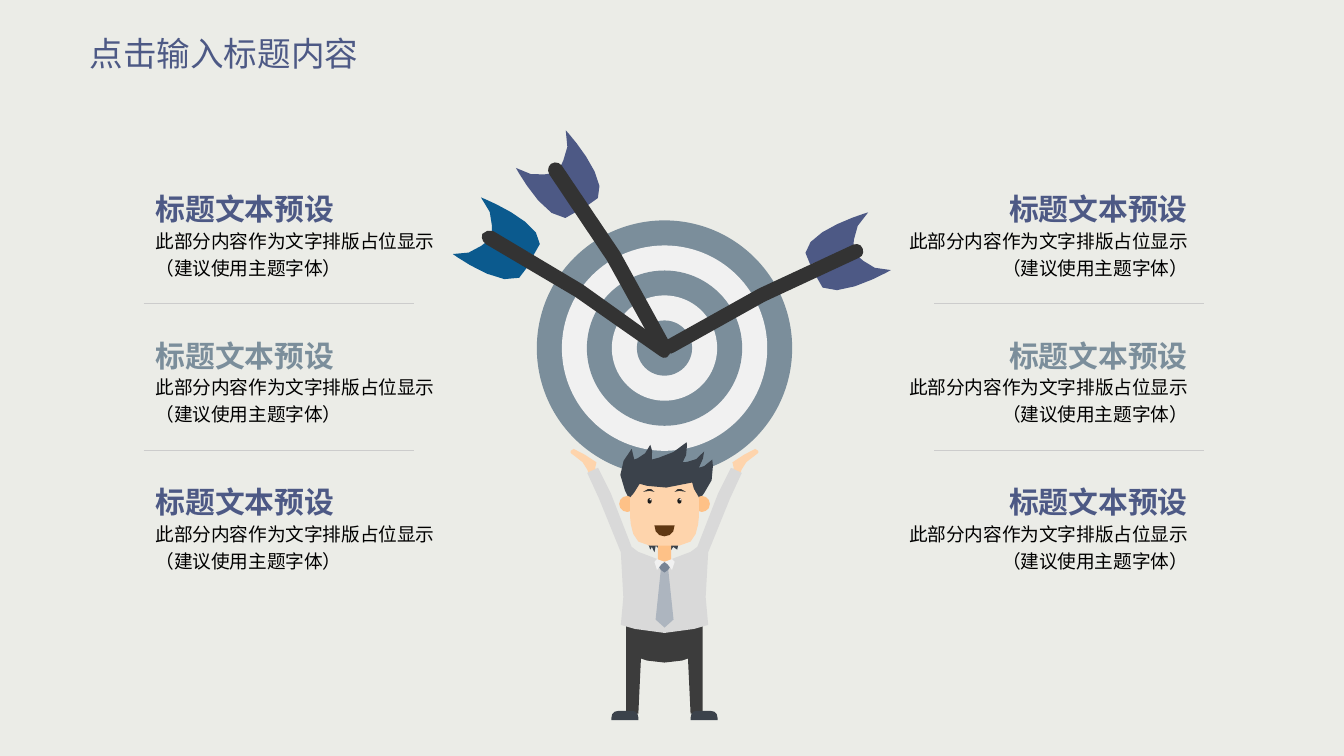
from dataclasses import dataclass
from math import ceil, dist, sqrt

from lxml import etree
from pptx import Presentation
from pptx.dml.color import RGBColor
from pptx.enum.shapes import MSO_CONNECTOR, MSO_SHAPE
from pptx.enum.text import MSO_ANCHOR, MSO_AUTO_SIZE, PP_ALIGN
from pptx.oxml.ns import qn
from pptx.util import Pt

OVAL, RECT, STRAIGHT = MSO_SHAPE.OVAL, MSO_SHAPE.RECTANGLE, MSO_CONNECTOR.STRAIGHT
LEFT, RIGHT = PP_ALIGN.LEFT, PP_ALIGN.RIGHT
MIDDLE, TOP, NO_FIT = MSO_ANCHOR.MIDDLE, MSO_ANCHOR.TOP, MSO_AUTO_SIZE.NONE


@dataclass(frozen=True)
class Theme:
    font: str = "Noto Sans CJK SC"
    background: str = "EBECE7"
    indigo: str = "4D5985"
    slate: str = "7B8E9B"
    blue: str = "0B5A8E"
    black: str = "000000"
    divider: str = "CCCCCC"
    white: str = "F1F1F1"
    shaft: str = "333333"
    skin: str = "FED4AC"
    skin_shade: str = "FEC187"
    hair: str = "3B424B"
    trousers: str = "3C3C3C"
    shirt: str = "D9D9D9"
    tie: str = "ADB5BF"
    knot: str = "778495"
    mouth: str = "603813"
    eye: str = "1A1A1A"
    title_size: int = 18
    heading_size: int = 16
    body_size: int = 10


THEME = Theme()
AXIS = 356  # vertical centre line of the target and the man
HEADING = "标题文本预设"
BODY = "此部分内容作为文字排版占位显示\n（建议使用主题字体）"

# Outlines in points, x measured from AXIS: a start point, then segments.
# 2 numbers: line; 6: Bezier curve; 4: curve whose first control is its start.
HAND = [(40.7, 253.4), (42.1, 247, 49.3, 243.4), (52.2, 241.9, 48.6, 240.5),
        (37.1, 246.2, 36.4, 247.7), (37.1, 250.6), (36.4, 252.7)]
HAIR = [(-7.6, 294.5), (-7.6, 292.3, -16.2, 270.7, -21.2, 262.8),
        (-26.3, 254.2, -22.7, 246.2, -17.6, 240.5), (-16.2, 246.2),
        (-9, 244.1, -7.6, 238.3), (-5.4, 244.1, -6.8, 246.2), (6.8, 243.4, 11.9, 236.9),
        (12.6, 245.5, 9.7, 247.7), (18.4, 247.7, 21.2, 241.9), (20.5, 249.1, 18.4, 250.6),
        (23.4, 249.8, 25.6, 246.2), (27.7, 259.2, 21.2, 264.2),
        (14.8, 270, 6.1, 288.7, 6.8, 294.5), (4.7, 293), (3.2, 295.2), (0.4, 293),
        (-1.8, 295.2), (-4.7, 292.3), (-5.4, 295.9), (-6.8, 293)]
FRINGE = [(-18.4, 266.4), (-14.8, 262.8, -13.3, 259.2), (0, 264.2, 14.8, 258.5),
          (16.2, 265, 18.4, 266.4), (20.5, 253.4, 18.4, 252),
          (16.2, 251.3, -14.8, 249.1, -18.4, 252), (-22.7, 254.9, -18.4, 266.4, -18.4, 266.4)]
COLLAR = [(0, 301), (3.2, 303.1, 4, 305.3), (5.4, 301), (4, 299.5)]
SHOE = [(14, 385.9), (14, 384.5), (14, 382.3, 15.5, 380.9, 16.9, 380.9), (24.8, 380.9),
        (27, 380.9, 28.4, 382.3, 28.4, 384.5), (28.4, 385.9)]
BROW = [(11.5, 263.5), (9, 262.1), (7, 262.1), (5.4, 263.5), (8, 263)]
# Right halves of symmetric outlines, from axis to axis
TROUSERS = [(0, 336.2), (20.5, 331.9), (20.5, 382.3), (14, 382.3), (12.6, 352.8),
            (8.3, 355, 0, 355)]
SHIRT = [(0, 301), (14, 297.4, 17.6, 293, 17.6, 293), (24.1, 272.2, 34.9, 251.3, 35.6, 250.6),
         (41.4, 253.4), (41.4, 254.2, 30.6, 275, 23.4, 295.9),
         (19.8, 308.2, 23.4, 334.8, 23.4, 334.8), (11.2, 339.1, 0, 339.1)]
TIE = [(0, 304.6), (2, 305.3), (4.8, 331.9), (0, 336.2)]
KNOT = [(0, 301), (3.8, 302.4), (2, 305.3), (0, 306.7)]
FACE = [(0, 252), (13.7, 252), (16.2, 252, 18.4, 254.2, 18.4, 257), (18.4, 277.2),
        (18.4, 279.4, 17.6, 287.3, 14, 290.2), (11.2, 292.3, 5.4, 293, 0, 292.3)]
MOUTH = [(0, 281.5), (5.4, 281.5), (5.4, 285.1, 3.2, 287.3, 0, 287.3)]
# Each dart: colour, two feathers, shaft
DARTS = [
    (THEME.indigo,
     [(101.2, 131.8), (101.2, 119.5, 109.1, 113.8), (64.4, 126.7, 78.1, 141.8)],
     [(104, 137.5), (112, 146.2, 121.3, 144.7), (83.2, 167, 81, 147.6)],
     [(0.4, 187.9), (-1.1, 185.8, -0.4, 183.6, 1.1, 182.2), (33.5, 162.7, 66.6, 145.4, 101.2, 131),
      (103.3, 130.3, 105.5, 131, 106.2, 133.2), (106.9, 135.4, 106.2, 137.5, 104, 138.2),
      (70.2, 152.6, 37.1, 169.2, 5.4, 188.6), (4, 190.1, 1.1, 189.4, 0.4, 187.9)]),
    (THEME.indigo,
     [(-55.8, 89.3), (-49.3, 78.5, -52.9, 69.8), (-21.2, 104.4, -41.4, 110.2)],
     [(-60.8, 92.9), (-72.4, 95.8, -79.6, 90), (-58.7, 128.9, -46.4, 113)],
     [(1.8, 189.4), (3.2, 188.6, 4.7, 186.5, 3.2, 184.3), (-13.3, 150.5, -32.8, 118.8, -55.1, 88.6),
      (-56.5, 87.1, -58.7, 86.4, -60.8, 87.8), (-62.3, 89.3, -63, 91.4, -61.6, 93.6),
      (-40, 123.1, -20.5, 154.8, -4, 187.9), (-2.5, 190.1, -0.4, 190.8, 1.8, 189.4)]),
    (THEME.blue,
     [(-92.5, 124.6), (-91.1, 112.3, -98.3, 105.8), (-54.4, 123.1, -70.2, 136.8)],
     [(-95.4, 129.6), (-104.8, 138.2, -113.4, 136.1), (-78.1, 162, -73.1, 142.6)],
     [(2.5, 190.1), (4, 188.6, 4, 185.8, 1.8, 185), (-27.7, 162, -58.7, 141.8, -91.8, 123.8),
      (-94, 123.1, -96.1, 123.8, -97.6, 125.3), (-98.3, 127.4, -97.6, 129.6, -95.4, 131),
      (-63, 148.3, -32, 168.5, -2.5, 190.8), (-1.1, 192.2, 1.8, 192.2, 2.5, 190.1)]),
]


def paint(shape, color):
    shape.shadow.inherit = False
    shape.fill.solid()
    shape.fill.fore_color.rgb = RGBColor.from_string(color)
    shape.line.fill.background()


def trace(outline):
    """Turn an outline into points; the more a curve bends, the more points it gets."""
    points = [outline[0]]
    for segment in outline[1:]:
        start = points[-1]
        controls = list(zip(segment[::2], segment[1::2]))
        if len(controls) == 1:
            points += controls
            continue
        curve = [start] * (4 - len(controls)) + controls
        bend = sum(map(dist, curve, curve[1:])) - dist(start, curve[-1])
        steps = ceil(1 + sqrt(max(bend, 0)))
        for step in range(1, steps + 1):
            t = step / steps
            weights = ((1 - t) ** 3, 3 * t * (1 - t) ** 2, 3 * t * t * (1 - t), t ** 3)
            points.append(tuple(sum(w * p[i] for w, p in zip(weights, curve)) for i in (0, 1)))
    return points


def mirror(points):
    return [(-x, y) for x, y in points]


def add_outline(slide, points, color):
    places = [(Pt(AXIS + x), Pt(y)) for x, y in points]
    builder = slide.shapes.build_freeform(*places[0])
    builder.add_line_segments(places[1:], close=True)
    paint(builder.convert_to_shape(), color)


def add_pair(slide, outline, color):
    points = trace(outline)
    add_outline(slide, points, color)
    add_outline(slide, mirror(points), color)


def add_symmetric(slide, half, color):
    points = trace(half)
    add_outline(slide, points + mirror(points)[-2:0:-1], color)


def add_centred(slide, kind, x, y, width, height, color):
    shape = slide.shapes.add_shape(kind, Pt(AXIS + x - width / 2), Pt(y - height / 2),
                                   Pt(width), Pt(height))
    paint(shape, color)


def write(box, text, size, color, align=LEFT, bold=False, spacing=1.0, anchor=TOP, pad=0):
    frame = box.text_frame
    frame.word_wrap, frame.auto_size, frame.vertical_anchor = True, NO_FIT, anchor
    frame.margin_left = frame.margin_right = 0
    frame.margin_top = frame.margin_bottom = Pt(pad)
    paragraph = frame.paragraphs[0]
    paragraph.text = text
    paragraph.alignment, paragraph.line_spacing = align, spacing
    font = paragraph.font
    font.size, font.bold, font.name = Pt(size), bold, THEME.font
    font.color.rgb = RGBColor.from_string(color)
    # East Asian typeface
    defaults = paragraph._p.pPr.find(qn("a:defRPr"))
    etree.SubElement(defaults, qn("a:ea")).set("typeface", THEME.font)


def add_divider(slide, x, y, width=144.7):
    line = slide.shapes.add_connector(STRAIGHT, Pt(x), Pt(y), Pt(x + width), Pt(y))
    line.line.color.rgb = RGBColor.from_string(THEME.divider)
    line.line.width = Pt(0.75)
    etree.SubElement(line._element.spPr, qn("a:effectLst"))


def add_column(slide, x, divider_x, align):
    pitch, width = 78.5, 154
    for row, color in enumerate((THEME.indigo, THEME.slate, THEME.indigo)):
        top = 102.3 + row * pitch
        body = slide.shapes.add_textbox(Pt(x), Pt(top + 18.4), Pt(width), Pt(30))
        write(body, BODY, THEME.body_size, THEME.black, align, spacing=1.2)
        heading = slide.shapes.add_textbox(Pt(x), Pt(top), Pt(width), Pt(18))
        write(heading, HEADING, THEME.heading_size, color, align, bold=True)
    for row in range(2):
        add_divider(slide, divider_x, 162.7 + row * pitch)


def add_target(slide):
    for ring in range(5):
        size = 136.8 - 26.8 * ring
        add_centred(slide, OVAL, 0, 186.5, size, size, THEME.white if ring % 2 else THEME.slate)


def add_man(slide):
    # Body
    add_outline(slide, trace(HAIR), THEME.hair)
    for half, color in ((TROUSERS, THEME.trousers), (SHIRT, THEME.shirt),
                        (TIE, THEME.tie), (KNOT, THEME.knot)):
        add_symmetric(slide, half, color)
    # Neck, ears and face
    add_centred(slide, RECT, 0, 294.9, 7.2, 12.2, THEME.skin_shade)
    for x in (-20, 20):
        add_centred(slide, OVAL, x, 270, 8.6, 8.6, THEME.skin_shade)
    add_symmetric(slide, FACE, THEME.skin)
    add_symmetric(slide, MOUTH, THEME.mouth)
    add_pair(slide, COLLAR, THEME.white)
    add_pair(slide, SHOE, THEME.hair)
    add_outline(slide, trace(FRINGE), THEME.hair)
    # Eyes with a glint, and brows
    for x in (-8, 8):
        add_centred(slide, OVAL, x, 268.4, 2.2, 2.9, THEME.eye)
        add_centred(slide, OVAL, x + 0.4, 267.7, 0.8, 0.8, THEME.white)
    add_pair(slide, BROW, THEME.shaft)


def add_dart(slide, color, upper_feather, lower_feather, shaft):
    for outline, tint in ((upper_feather, color), (lower_feather, color), (shaft, THEME.shaft)):
        add_outline(slide, trace(outline), tint)


def main():
    deck = Presentation()
    deck.slide_width, deck.slide_height = Pt(720), Pt(405)
    slide = deck.slides.add_slide(deck.slide_layouts[5])
    slide.background.fill.solid()
    slide.background.fill.fore_color.rgb = RGBColor.from_string(THEME.background)

    # Title
    title = slide.shapes.title
    title.left, title.top, title.width, title.height = Pt(48), Pt(13.7), Pt(168), Pt(30)
    write(title, "点击输入标题内容", THEME.title_size, THEME.indigo, anchor=MIDDLE, pad=3.6)

    # Man holding up the target
    add_pair(slide, HAND, THEME.skin)
    add_target(slide)
    add_man(slide)
    for dart in DARTS:
        add_dart(slide, *dart)

    # Text columns
    add_column(slide, 482.4, 500.4, RIGHT)
    add_column(slide, 83.3, 77, LEFT)
    deck.save("out.pptx")


if __name__ == "__main__":
    main()
